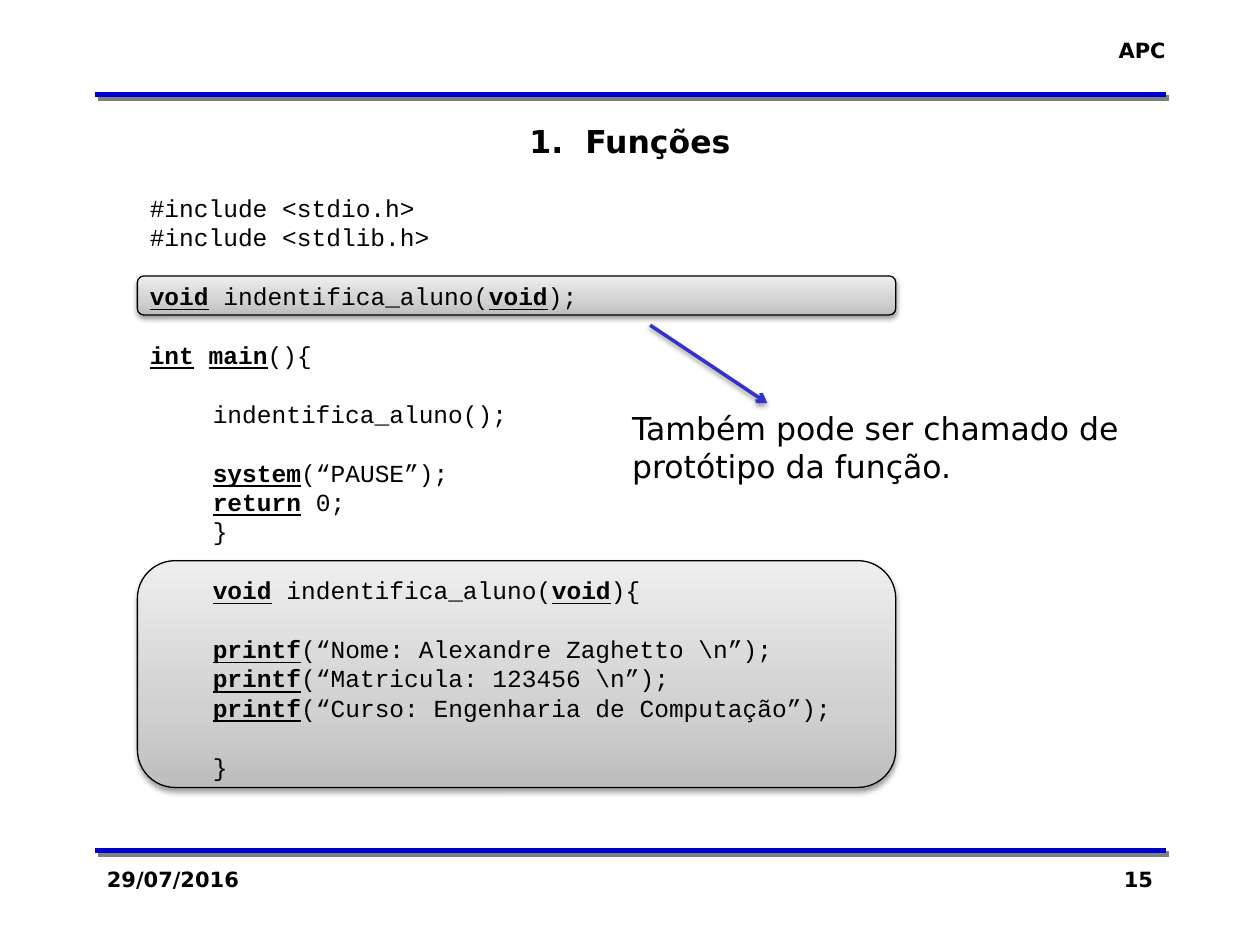
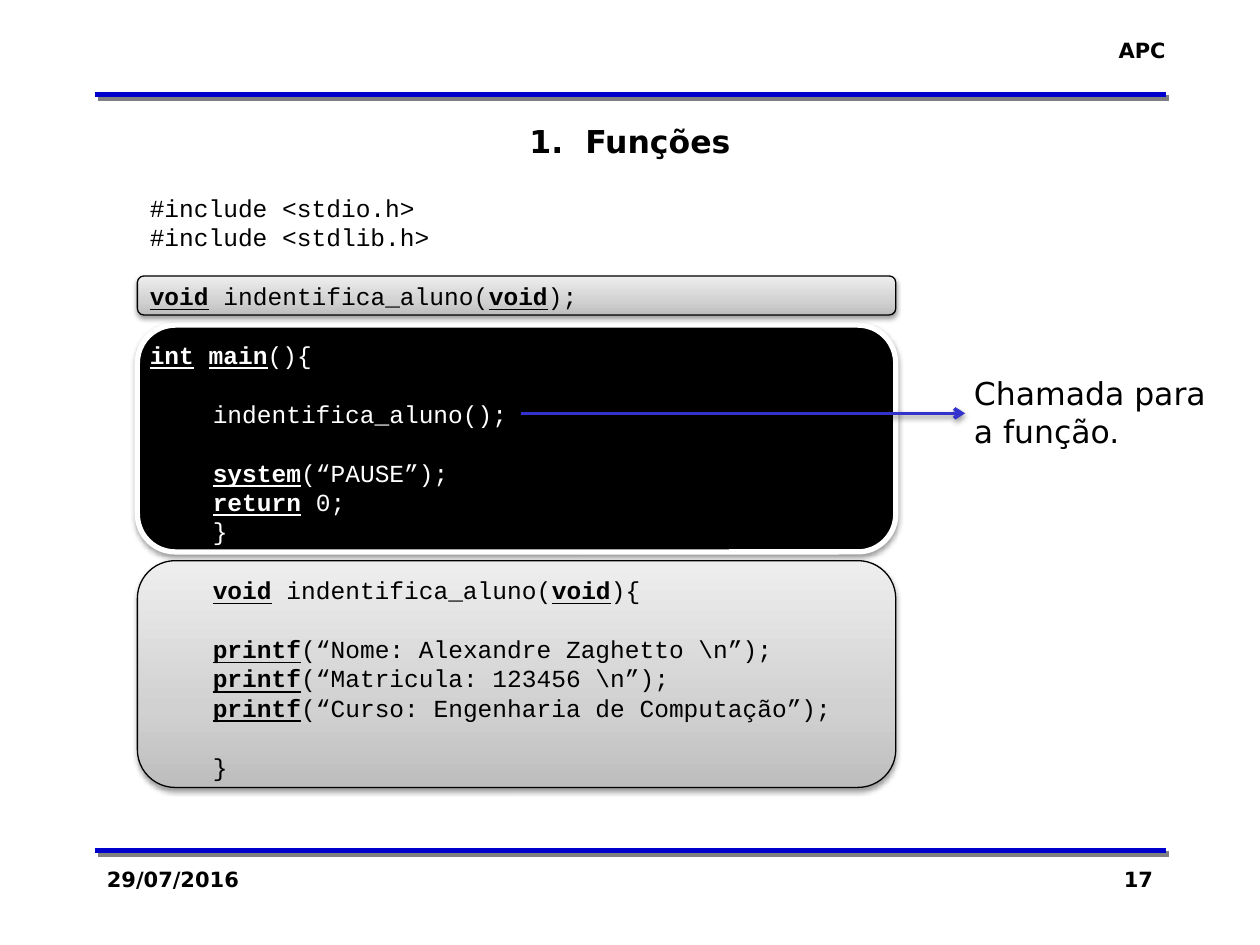
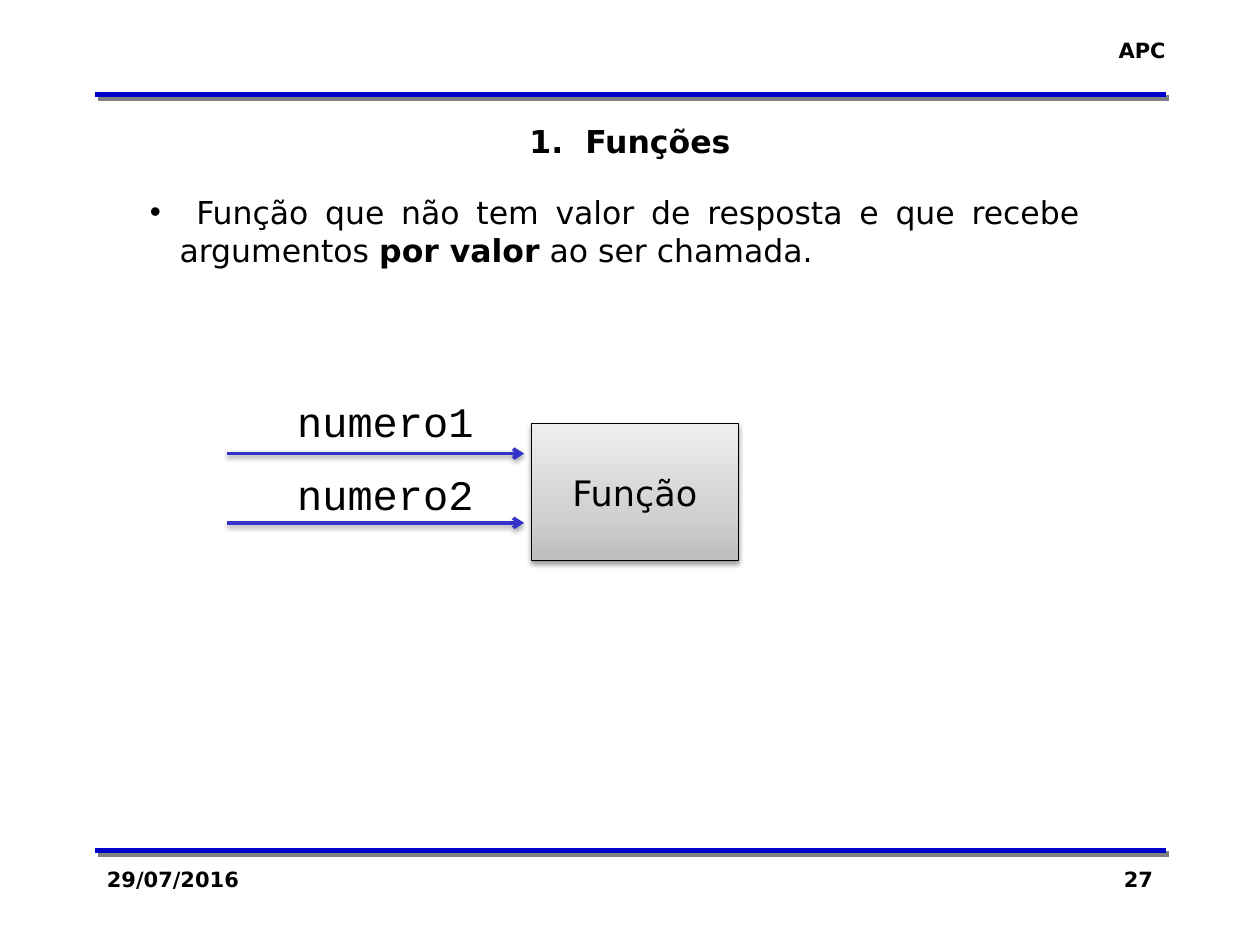
import pptx
import pptx.util
import pptx.dml.color
import pptx.enum.shapes
import pptx.enum.text
import pptx.oxml
import pptx.oxml.ns

Pt = pptx.util.Pt
RGB = pptx.dml.color.RGBColor.from_string
ALIGN = pptx.enum.text.PP_ALIGN
SHAPE = pptx.enum.shapes.MSO_SHAPE
STRAIGHT = pptx.enum.shapes.MSO_CONNECTOR.STRAIGHT
qn = pptx.oxml.ns.qn
NAMESPACE = pptx.oxml.ns.nsdecls("a")

COLORS = {
    "ink": "000000", "paper": "FFFFFF", "rule": "0000CC", "arrow": "3333CC",
    "rule_shadow": "808080", "dark": "BDBDBD", "middle": "D1D1D1", "light": "EEEEEE",
}
SANS, MONO = "DejaVu Sans", "Courier New"
HEADING = {"name": SANS, "size": Pt(18), "bold": True}
SMALL = {"name": SANS, "size": Pt(12), "bold": True}
BODY = {"name": SANS, "size": Pt(18)}
CODE = {"name": MONO, "size": Pt(14)}
LABEL = {"name": MONO, "size": Pt(24)}
BOX_LABEL = {"name": SANS, "size": Pt(20)}

# Shadow values: colour, opacity, blur, distance, direction
RULE_SHADOW = ("rule_shadow", 100, 0, 2.8, 45)
SOFT_SHADOW = ("ink", 38, 3.1, 1.6, 90)

# Code listing: block, blank line before, indented, text with *keywords*
LISTING = [
    ("include", False, False, "#include <stdio.h>"),
    ("include", False, False, "#include <stdlib.h>"),
    ("prototype", True, False, "*void* indentifica_aluno(*void*);"),
    ("main", True, False, "*int* *main*(){"),
    ("main", True, True, "indentifica_aluno();"),
    ("main", True, True, "*system*(“PAUSE”);"),
    ("main", False, True, "*return* 0;"),
    ("main", False, True, "}"),
    ("function", True, True, "*void* indentifica_aluno(*void*){"),
    ("function", True, True, "*printf*(“Nome: Alexandre Zaghetto \\n”);"),
    ("function", False, True, "*printf*(“Matricula: 123456 \\n”);"),
    ("function", False, True, "*printf*(“Curso: Engenharia de Computação”);"),
    ("function", True, True, "}"),
]
CODE_LINE = 16.8

# Panels: preset, left, top, width, height, fill kind, label
FUNCTION_PANEL = (SHAPE.ROUNDED_RECTANGLE, 78.5, 320.4, 433.4, 129.6, "gradient", "")
PROTOTYPE_PANEL = (SHAPE.ROUNDED_RECTANGLE, 78.5, 157.7, 433.4, 22.3, "gradient", "")
MAIN_PANEL = (SHAPE.ROUNDED_RECTANGLE, 78.5, 185.8, 433.4, 129.6, "solid", "")
FUNCTION_BOX = (SHAPE.RECTANGLE, 303.8, 241.9, 118.1, 78.5, "gradient", "Função")

# Notes: left, top, width, height, lines, font
PAGES = [
    {"number": "15", "listing": True, "panels": [FUNCTION_PANEL, PROTOTYPE_PANEL],
     "arrows": [(371.5, 185.8, 438.5, 230.4)],
     "notes": [(354.2, 230.4, 295.2, 51.1,
                ["Também pode ser chamado de", "protótipo da função."], BODY)]},
    {"number": "17", "listing": True,
     "panels": [MAIN_PANEL, FUNCTION_PANEL, PROTOTYPE_PANEL],
     "arrows": [(298, 236.2, 551.5, 236.2)],
     "notes": [(549.4, 210.2, 154, 51.1, ["Chamada para", "a função."], BODY)]},
    {"number": "27", "listing": False, "panels": [FUNCTION_BOX],
     "arrows": [(129.6, 259.2, 299.5, 259.2), (129.6, 298.8, 299.5, 298.8)],
     "notes": [(162.7, 222.5, 116, 36.7, ["numero1"], LABEL),
               (162.7, 264.2, 116, 36.7, ["numero2"], LABEL)]},
]


def cast_shadow(shape, color, opacity, blur, distance, direction):
    shape._element.spPr.append(pptx.oxml.parse_xml(
        f'<a:effectLst {NAMESPACE}><a:outerShdw blurRad="{Pt(blur)}" dist="{Pt(distance)}" '
        f'dir="{direction * 60000}" algn="ctr" rotWithShape="0">'
        f'<a:srgbClr val="{COLORS[color]}"><a:alpha val="{opacity * 1000}"/></a:srgbClr>'
        '</a:outerShdw></a:effectLst>'))


def write(frame, lines, font, align=ALIGN.LEFT, wrap=True, emphasis=("bold",)):
    """Write (text, colour, paragraph format) lines; *marked* pieces get the emphasis."""
    frame.word_wrap = wrap
    for index, (text, color, layout) in enumerate(lines):
        para = frame.add_paragraph() if index else frame.paragraphs[0]
        para.alignment = align
        for name, value in layout.items():
            setattr(para, name, value)
        for position, piece in enumerate(text.split("*")):
            if not piece:
                continue
            span = para.add_run()
            span.text = piece
            for name, value in font.items():
                setattr(span.font, name, value)
            span.font.color.rgb = RGB(COLORS[color])
            if position % 2:
                for name in emphasis:
                    setattr(span.font, name, True)


deck = pptx.Presentation()
deck.slide_width, deck.slide_height = Pt(720), Pt(540)

for content in PAGES:
    page = deck.slides.add_slide(deck.slide_layouts[6])

    # Panels
    for preset, left, top, width, height, kind, label in content["panels"]:
        panel = page.shapes.add_shape(preset, Pt(left), Pt(top), Pt(width), Pt(height))
        if kind == "gradient":
            panel.fill.gradient()
            panel.fill.gradient_angle = 90
            stops = panel._element.spPr.find(f".//{qn('a:gsLst')}")
            for stop in list(stops):
                stops.remove(stop)
            for place, color in ((0, "dark"), (35, "middle"), (100, "light")):
                stops.append(pptx.oxml.parse_xml(
                    f'<a:gs {NAMESPACE} pos="{place * 1000}">'
                    f'<a:srgbClr val="{COLORS[color]}"/></a:gs>'))
        else:
            panel.fill.solid()
            panel.fill.fore_color.rgb = RGB(COLORS["ink"])
        panel.line.color.rgb = RGB(COLORS["ink" if kind == "gradient" else "paper"])
        panel.line.width = Pt(0.75 if kind == "gradient" else 3)
        cast_shadow(panel, *SOFT_SHADOW)
        if label:
            write(panel.text_frame, [(label, "ink", {})], BOX_LABEL, ALIGN.CENTER, False)

    # Header and footer rules, then arrows
    rules = [(54, y, 666, y) for y in (54, 486)]
    for ends in rules + content["arrows"]:
        is_rule = ends in rules
        line = page.shapes.add_connector(STRAIGHT, *(Pt(value) for value in ends))
        line.line.color.rgb = RGB(COLORS["rule" if is_rule else "arrow"])
        line.line.width = Pt(3 if is_rule else 2)
        if not is_rule:
            line.line._ln.append(pptx.oxml.parse_xml(
                f'<a:tailEnd {NAMESPACE} type="arrow"/>'))
        cast_shadow(line, *(RULE_SHADOW if is_rule else SOFT_SHADOW))

    # Course name, date, page number and title
    for left, top, width, height, text, font, align, wrap in (
            (631.4, 18, 41.8, 21.6, "APC", SMALL, ALIGN.RIGHT, False),
            (54, 491.8, 150, 36, "29/07/2016", SMALL, ALIGN.LEFT, True),
            (516, 491.8, 150, 36, content["number"], SMALL, ALIGN.RIGHT, True),
            (54, 66.2, 612, 28.8, "1.* *Funções", HEADING, ALIGN.CENTER, True)):
        box = page.shapes.add_textbox(Pt(left), Pt(top), Pt(width), Pt(height))
        write(box.text_frame, [(text, "ink", {})], font, align, wrap)
    # Widen the gap after the title number
    box.text_frame.paragraphs[0].runs[1]._r.get_or_add_rPr().set("spc", "630")

    # Code listing or bullet
    body = page.shapes.add_textbox(Pt(78.5), Pt(106.6), Pt(545.8), Pt(363.6))
    if content["listing"]:
        main_color = "paper" if MAIN_PANEL in content["panels"] else "ink"
        lines = []
        for block, gap, indented, text in LISTING:
            layout = {"line_spacing": Pt(CODE_LINE)}
            if gap:
                layout["space_before"] = Pt(CODE_LINE)
            lines.append((text, main_color if block == "main" else "ink", layout))
        write(body.text_frame, lines, CODE, ALIGN.JUSTIFY, emphasis=("bold", "underline"))
        for para, (block, gap, indented, text) in zip(body.text_frame.paragraphs, LISTING):
            if indented:
                para._p.get_or_add_pPr().set("marL", str(Pt(36)))
    else:
        body.height = Pt(94.3)
        properties = body.text_frame.paragraphs[0]._p.get_or_add_pPr()
        properties.set("marL", str(Pt(17)))
        properties.set("indent", str(Pt(-17)))
        for xml in ('buFont {} typeface="Arial"', 'buChar {} char="•"'):
            properties.append(pptx.oxml.parse_xml(f"<a:{xml.format(NAMESPACE)}/>"))
        write(body.text_frame, [(
            " Função que não tem valor de resposta e que recebe argumentos "
            "*por valor* ao ser chamada.", "ink", {})], BODY, ALIGN.JUSTIFY)

    # Notes and arrow labels
    for left, top, width, height, texts, font in content["notes"]:
        note = page.shapes.add_textbox(Pt(left), Pt(top), Pt(width), Pt(height))
        write(note.text_frame, [(text, "ink", {}) for text in texts], font, wrap=False)

deck.save("out.pptx")
